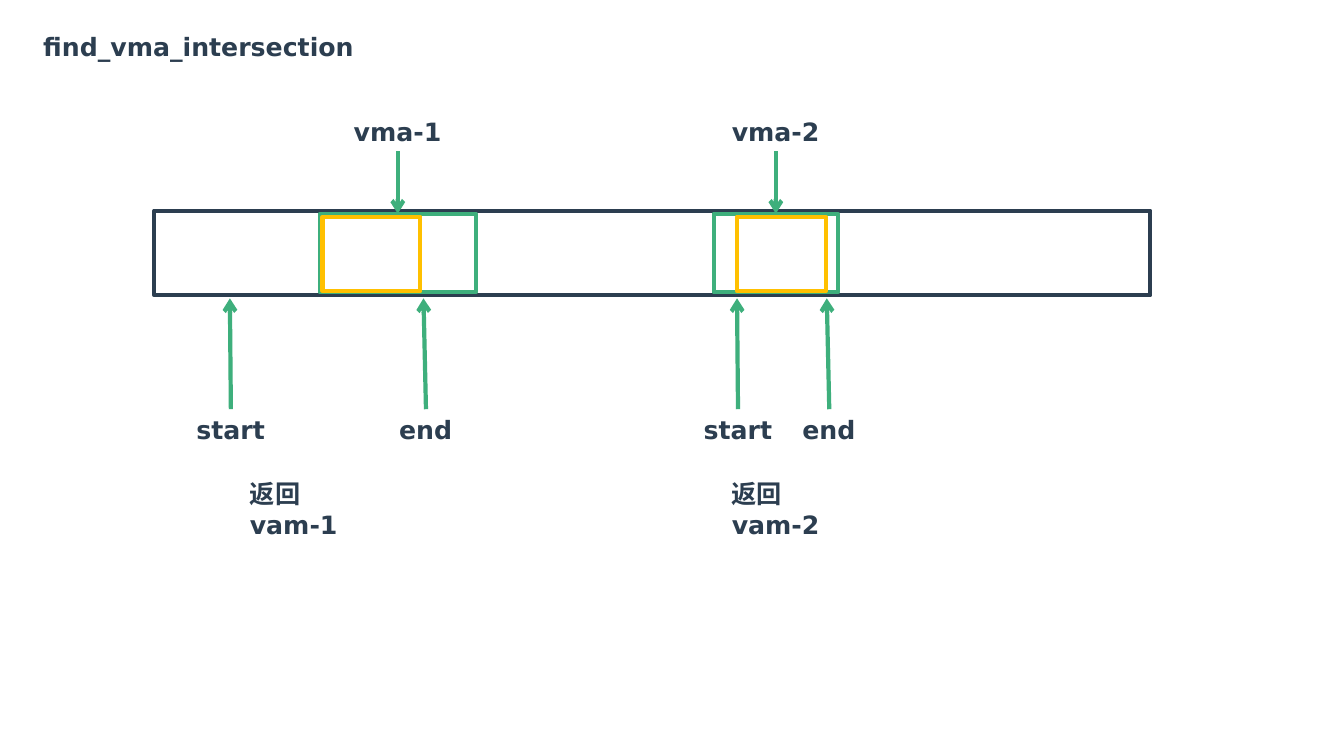
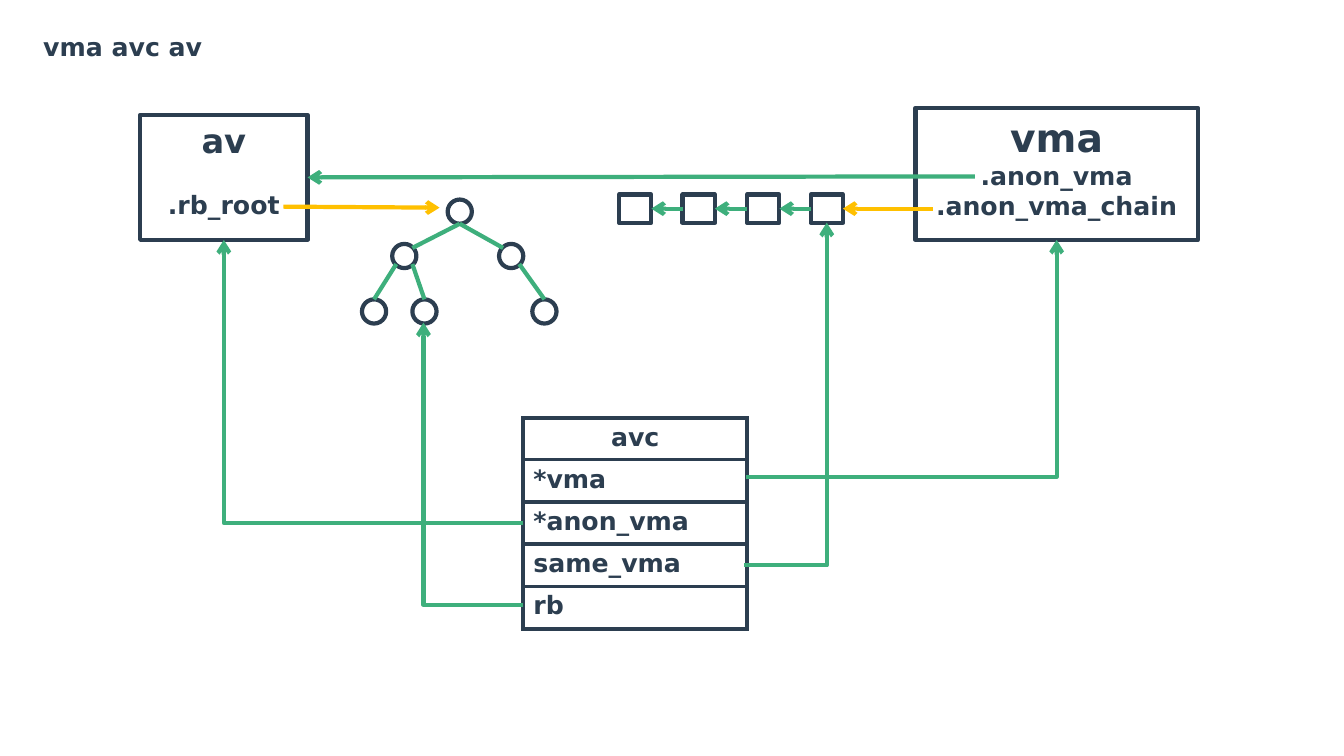
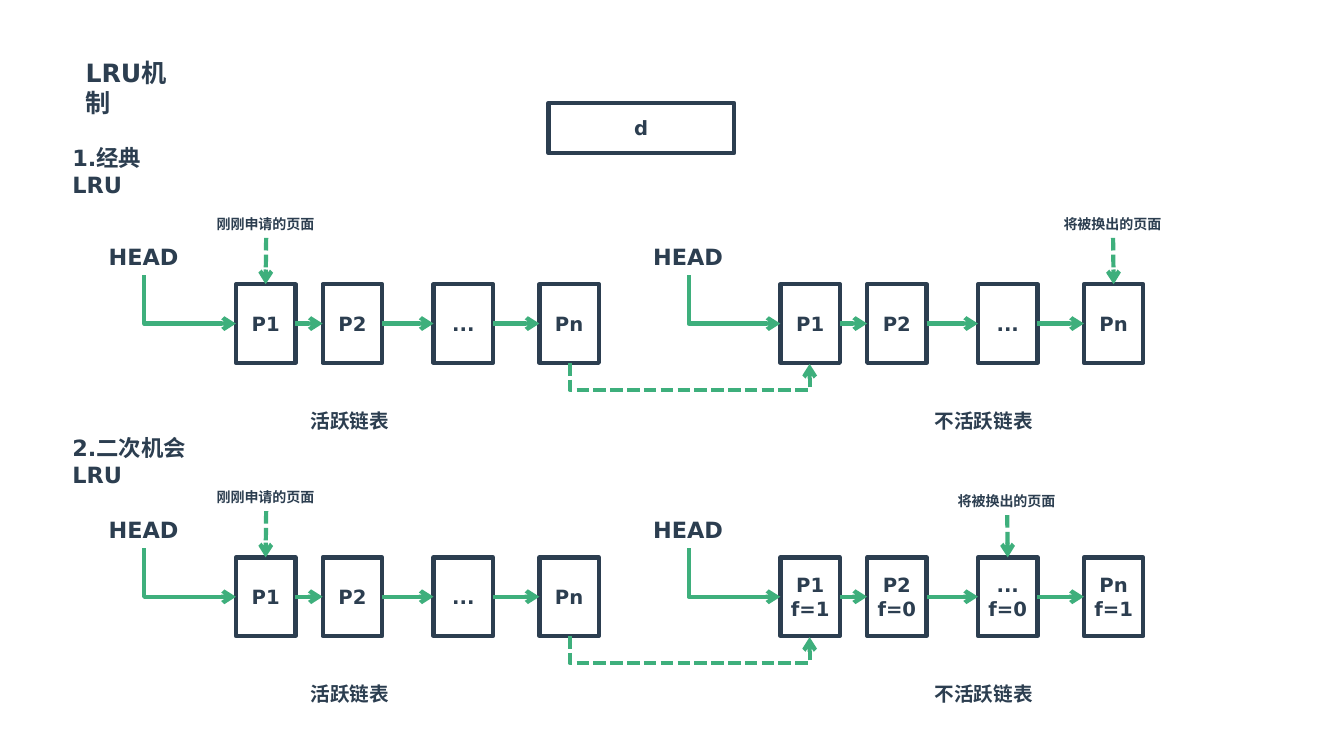
from dataclasses import dataclass
from itertools import pairwise

from lxml.etree import SubElement
from pptx import Presentation
from pptx.dml.color import RGBColor
from pptx.enum.dml import MSO_LINE
from pptx.enum.shapes import MSO_CONNECTOR, MSO_SHAPE
from pptx.enum.text import MSO_ANCHOR, MSO_AUTO_SIZE, PP_ALIGN
from pptx.oxml.ns import qn
from pptx.util import Emu, Pt

# Shared style: 100 px to the inch
EMU_PER_PX = 9144
COLORS = {"ink": "2C3E50", "green": "3EAF7C", "amber": "FFC000"}
FONT = {"name": "DejaVu Sans", "bold": True}
LINE_PT = 3
TOP, LEFT, BOTTOM, RIGHT = range(4)


@dataclass
class Label:
    text: str
    x: int
    y: int
    w: int
    h: int = 40
    size: int = 18
    wrap: bool = False


@dataclass
class Line:
    text: str
    size: int = 14
    before: int = 0


@dataclass
class Chain:
    x: int
    caption: str
    caption_x: int
    caption_w: int


@dataclass
class LruRow:
    heading: Label
    dy: int
    flags: tuple[str, ...]
    victim: int
    victim_y: int


def px(v: float) -> Emu:
    return Emu(round(v * EMU_PER_PX))


def rgb(color: str) -> RGBColor:
    return RGBColor.from_string(COLORS[color])


def style_font(font, size: int) -> None:
    for key, value in {**FONT, "size": Pt(size)}.items():
        setattr(font, key, value)
    font.color.rgb = rgb("ink")


def add_label(s, label: Label):
    sp = s.shapes.add_textbox(*map(px, (label.x, label.y, label.w, label.h)))
    tf = sp.text_frame
    tf.word_wrap = label.wrap
    tf.auto_size = MSO_AUTO_SIZE.SHAPE_TO_FIT_TEXT
    r = tf.paragraphs[0].add_run()
    r.text = label.text
    style_font(r.font, label.size)
    return sp


def add_box(s, x: int, y: int, w: int, h: int, lines: tuple[Line, ...] = (), color: str = "ink",
            kind=MSO_SHAPE.RECTANGLE, anchor=MSO_ANCHOR.MIDDLE):
    sp = s.shapes.add_shape(kind, *map(px, (x, y, w, h)))
    sp.shadow.inherit = False
    sp.fill.background()
    sp.line.color.rgb = rgb(color)
    sp.line.width = Pt(LINE_PT)
    tf = sp.text_frame
    for key, value in {"vertical_anchor": anchor, "margin_left": 0, "margin_right": 0}.items():
        setattr(tf, key, value)
    for i, line in enumerate(lines):
        p = tf.add_paragraph() if i else tf.paragraphs[0]
        p.alignment = PP_ALIGN.CENTER
        if line.before:
            p.space_before = Pt(line.before)
        r = p.add_run()
        r.text = line.text
        style_font(r.font, line.size)
    return sp


def style_connector(cx, color: str, arrow: bool, dashed: bool) -> None:
    cx.line.color.rgb = rgb(color)
    cx.line.width = Pt(LINE_PT)
    if dashed:
        cx.line.dash_style = MSO_LINE.SQUARE_DOT
    sp_pr = cx.element.spPr
    if arrow:
        SubElement(sp_pr.find(qn("a:ln")), qn("a:tailEnd"), type="arrow")
    SubElement(sp_pr, qn("a:effectLst"))


def add_line(s, start, end, color: str = "green", arrow: bool = True, dashed: bool = False) -> None:
    """Each end is an (x, y) point or a (shape, side) joint."""
    free = [(0, 0) if hasattr(e[0], "shape_id") else e for e in (start, end)]
    cx = s.shapes.add_connector(MSO_CONNECTOR.STRAIGHT, *(px(v) for point in free for v in point))
    for joint, connect in ((start, cx.begin_connect), (end, cx.end_connect)):
        if hasattr(joint[0], "shape_id"):
            connect(*joint)
    style_connector(cx, color, arrow, dashed)


def add_elbow(s, start: tuple[int, int], end: tuple[int, int], down_first: bool = False,
              dip: int = 0, dashed: bool = False) -> None:
    """One bend, or a U that dips below both ends when dip is given."""
    (x1, y1), (x2, y2) = start, end
    w, h = abs(x2 - x1), abs(y2 - y1)
    if down_first:
        w, h = h, w
        rot, flip = 90, x2 > x1
    else:
        rot = 0 if x2 > x1 else 180
        flip = (y2 < y1) == (rot == 0)
    left, top = (x1 + x2 - w) / 2, (y1 + y2 - h) / 2
    cx = s.shapes.add_connector(MSO_CONNECTOR.ELBOW, *map(px, (left, top, left + w, top + h)))
    xfrm = cx.element.spPr.find(qn("a:xfrm"))
    xfrm.set("rot", str(rot * 60000))
    xfrm.set("flipV", str(int(flip)))
    geom = cx.element.spPr.find(qn("a:prstGeom"))
    if dip:
        guides = geom.find(qn("a:avLst"))
        if guides is None:
            guides = SubElement(geom, qn("a:avLst"))
        SubElement(guides, qn("a:gd"), name="adj1", fmla=f"val {dip * 100000 // w}")
    else:
        geom.set("prst", "bentConnector2")
    style_connector(cx, "green", True, dashed)


def add_field_table(s, x: int, y: int, w: int, fields: tuple[str, ...], heights: tuple[int, ...]) -> None:
    frame = s.shapes.add_table(len(fields), 1, *map(px, (x, y, w, sum(heights))))
    table = frame.table
    table.first_row = table.horz_banding = False
    for i, (field, height) in enumerate(zip(fields, heights)):
        table.rows[i].height = px(height)
        cell = table.cell(i, 0)
        tc_pr = cell._tc.get_or_add_tcPr()
        for side in ("lnL", "lnR", "lnT", "lnB"):
            ln = SubElement(tc_pr, qn(f"a:{side}"), w=str(Pt(LINE_PT)))
            SubElement(SubElement(ln, qn("a:solidFill")), qn("a:srgbClr"), val=COLORS["ink"])
        cell.fill.background()
        p = cell.text_frame.paragraphs[0]
        p.alignment = PP_ALIGN.LEFT if i else PP_ALIGN.CENTER
        r = p.add_run()
        r.text = field
        style_font(r.font, 18)


def build_intersection(s) -> None:
    add_label(s, Label("find_vma_intersection", 33, 26, 329))
    add_box(s, 153, 209, 988, 84)

    # Areas with their names above
    for name, x, w, label_x in (("vma-1", 317, 155, 341), ("vma-2", 708, 123, 716)):
        area = add_box(s, x, 212, w, 78, color="green")
        label = add_label(s, Label(name, label_x, 110, 107))
        add_line(s, (label, BOTTOM), (area, TOP))

    # Range limits below
    for name, x, w, tip_x in (("start", 185, 88, 228), ("end", 386, 73, 420),
                              ("start", 688, 88, 731), ("end", 786, 73, 820)):
        label = add_label(s, Label(name, x, 406, w))
        add_line(s, (label, TOP), (tip_x, 296))

    # Results and overlaps
    for text, x in (("返回vam-1", 238), ("返回vam-2", 716)):
        add_label(s, Label(text, x, 470, 150, wrap=True))
    for x, w in ((320, 97), (731, 88)):
        add_box(s, x, 215, w, 74, color="amber")


def build_anon_vma(s) -> None:
    add_label(s, Label("vma avc av", 33, 26, 178))
    add_field_table(s, 519, 415, 222, ("avc", "*vma", "*anon_vma", "same_vma", "rb"), (41, 42, 42, 42, 42))
    av = add_box(s, 139, 114, 166, 124, (Line("av", 24), Line(".rb_root", 18, before=21)),
                 anchor=MSO_ANCHOR.TOP)
    add_box(s, 908, 107, 280, 131, (Line("vma", 28), Line(".anon_vma", 18), Line(".anon_vma_chain", 18)),
            anchor=MSO_ANCHOR.TOP)

    # Red-black tree
    nodes = {"root": (444, 198), "left": (389, 242), "right": (495, 242),
             "left_left": (359, 297), "left_right": (409, 297), "right_right": (528, 297)}
    ports = {"top": (12, 0), "bottom": (12, 24), "upper_left": (4, 4), "upper_right": (20, 4),
             "lower_left": (4, 20), "lower_right": (20, 20)}
    edges = (("root", "bottom", "left", "upper_right"), ("root", "bottom", "right", "upper_left"),
             ("left", "lower_left", "left_left", "top"), ("left", "lower_right", "left_right", "top"),
             ("right", "lower_right", "right_right", "top"))

    def port(node: str, name: str) -> tuple[int, int]:
        return nodes[node][0] + ports[name][0], nodes[node][1] + ports[name][1]

    for x, y in nodes.values():
        add_box(s, x, y, 24, 24, kind=MSO_SHAPE.OVAL)
    for parent, out, child, into in edges:
        add_line(s, port(parent, out), port(child, into), arrow=False)

    # Linked list
    links = [add_box(s, round(614 + i * 63.3), 193, 32, 28) for i in range(4)]
    for left, right in pairwise(links):
        add_line(s, (right, LEFT), (left, RIGHT))

    # Pointers
    add_line(s, (925, 207), (links[-1], RIGHT), "amber")
    add_line(s, (281, 205), (436, 206), "amber")
    add_line(s, (967, 175), (av, RIGHT))
    for start, end in (((740, 473), (1048, 238)), ((519, 519), (222, 238)),
                       ((738, 561), (820, 221)), ((519, 600), (420, 320))):
        add_elbow(s, start, end)


def add_chain(s, chain: Chain, row: LruRow, flags: tuple[str, ...]) -> list:
    top = 282 + row.dy
    boxes = []
    for i, (dx, name) in enumerate(zip((0, 86, 196, 301), ("P1", "P2", "...", "Pn"))):
        lines = (Line(name),) + ((Line(flags[i]),) if flags else ())
        boxes.append(add_box(s, chain.x + dx, top, 59, 78, lines))
    for left, right in pairwise(boxes):
        add_line(s, (left, RIGHT), (right, LEFT))
    add_label(s, Label("HEAD", chain.x - 136, 236 + row.dy, 90, 37, 16))
    add_elbow(s, (chain.x - 91, top - 9), (chain.x, top + 39), down_first=True)
    add_label(s, Label(chain.caption, chain.caption_x, 401 + row.dy, chain.caption_w, 34, 14))
    return boxes


def add_note(s, text: str, x: int, y: int, box) -> None:
    label = add_label(s, Label(text, x, y, 118, 27, 10))
    add_line(s, (label, BOTTOM), (box, TOP), dashed=True)


def build_lru(s) -> None:
    add_box(s, 544, 102, 184, 50, (Line("d"),))
    add_label(s, Label("LRU机制", 75, 52, 120, wrap=True))
    active = Chain(234, "活跃链表", 298, 98)
    inactive = Chain(774, "不活跃链表", 917, 118)
    rows = (LruRow(Label("1.经典LRU", 62, 138, 130, 37, 16, True), 0, (), 3, 209),
            LruRow(Label("2.二次机会LRU", 62, 426, 175, 37, 16, True), 271,
                   ("f=1", "f=0", "f=0", "f=1"), 2, 484))
    for row in rows:
        add_label(s, row.heading)
        active_boxes = add_chain(s, active, row, ())
        inactive_boxes = add_chain(s, inactive, row, row.flags)
        add_elbow(s, (565, 360 + row.dy), (803, 361 + row.dy), down_first=True, dip=27, dashed=True)
        add_note(s, "刚刚申请的页面", 205, 209 + row.dy, active_boxes[0])
        victim_x = (1045, 940)[row.victim == 2]
        add_note(s, "将被换出的页面", victim_x, row.victim_y, inactive_boxes[row.victim])


def main() -> None:
    prs = Presentation()
    prs.slide_width, prs.slide_height = px(1333), px(750)
    for build in (build_intersection, build_anon_vma, build_lru):
        build(prs.slides.add_slide(prs.slide_layouts[6]))
    prs.save("out.pptx")


if __name__ == "__main__":
    main()
